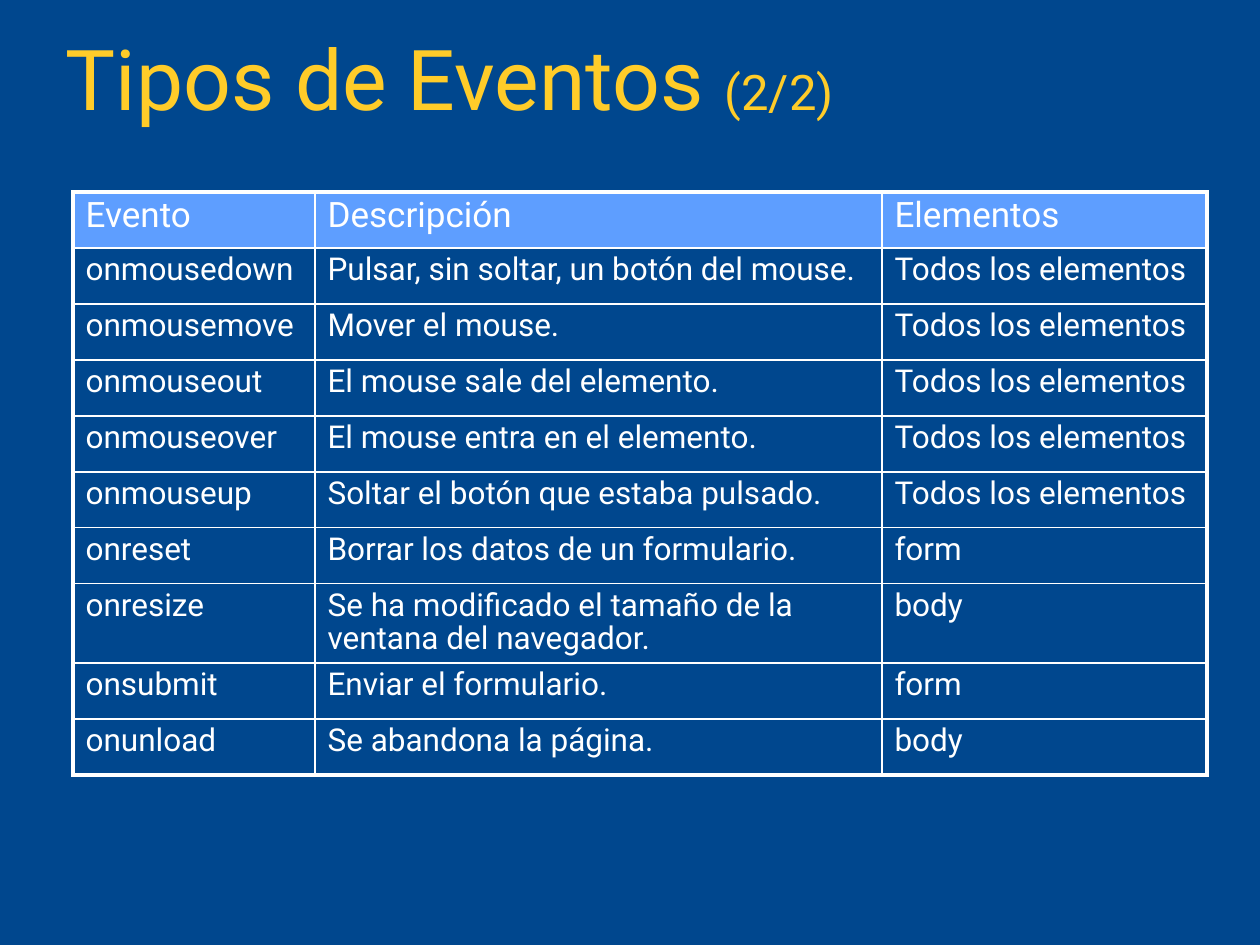
"""Build the slide listing browser event types in a table."""
from typing import NamedTuple

from lxml import etree
from pptx import Presentation
from pptx import util as u
from pptx.dml.color import RGBColor
from pptx.enum import text
from pptx.oxml import ns

PIXEL = u.Inches(1) // 126
FONT = "Roboto"
NAVY = RGBColor(0x00, 0x47, 0x8E)
SKY = RGBColor(0x5E, 0x9E, 0xFF)
GOLD = RGBColor(0xFF, 0xCC, 0x29)
WHITE = RGBColor(0xFF, 0xFF, 0xFF)
OUTER, INNER = u.Pt(2.25), u.Pt(1)
COLUMN_WIDTHS = (242, 567, 325)
ROW_HEIGHT, WRAPPED_HEIGHT = 56, 79


class Event(NamedTuple):
    name: str
    description: str
    elements: str
    height: int = ROW_HEIGHT


ALL = "Todos los elementos"
EVENTS = (
    Event("Evento", "Descripción", "Elementos"),
    Event("onmousedown", "Pulsar, sin soltar, un botón del mouse.", ALL),
    Event("onmousemove", "Mover el mouse.", ALL),
    Event("onmouseout", "El mouse sale del elemento.", ALL),
    Event("onmouseover", "El mouse entra en el elemento.", ALL),
    Event("onmouseup", "Soltar el botón que estaba pulsado.", ALL),
    Event("onreset", "Borrar los datos de un formulario.", "form"),
    Event("onresize", "Se ha modificado el tamaño de la ventana del navegador.",
          "body", WRAPPED_HEIGHT),
    Event("onsubmit", "Enviar el formulario.", "form"),
    Event("onunload", "Se abandona la página.", "body"),
)


def px(pixels: int) -> u.Emu:
    return u.Emu(pixels * PIXEL)


def style_paragraph(para, size: float, color: RGBColor) -> None:
    para.alignment = text.PP_ALIGN.LEFT
    para.line_spacing = 0.9
    para.space_before = u.Pt(0)
    para.font.name = FONT
    para.font.size = u.Pt(size)
    para.font.color.rgb = color


def draw_border(cell, side: str, width: int) -> None:
    properties = cell._tc.get_or_add_tcPr()
    line = etree.SubElement(properties, ns.qn(f"a:ln{side}"), w=str(width))
    fill = etree.SubElement(line, ns.qn("a:solidFill"))
    etree.SubElement(fill, ns.qn("a:srgbClr"), val=str(WHITE))


def add_title(page) -> None:
    title = page.shapes.title
    title.left, title.top, title.width, title.height = map(px, (53, 31, 1157, 104))
    frame = title.text_frame
    frame.word_wrap = True
    frame.auto_size = text.MSO_AUTO_SIZE.NONE
    frame.vertical_anchor = text.MSO_ANCHOR.MIDDLE
    para = frame.paragraphs[0]
    style_paragraph(para, 48, GOLD)
    para.add_run().text = "Tipos de Eventos "
    counter = para.add_run()
    counter.text = "(2/2)"
    counter.font.size = u.Pt(28)


def add_event_table(page) -> None:
    last_row, last_column = len(EVENTS) - 1, len(COLUMN_WIDTHS) - 1
    table = page.shapes.add_table(
        len(EVENTS), len(COLUMN_WIDTHS), px(73), px(192),
        px(sum(COLUMN_WIDTHS)), px(sum(event.height for event in EVENTS))).table
    table.first_row = table.horz_banding = False
    for column, width in zip(table.columns, COLUMN_WIDTHS):
        column.width = px(width)
    for row, event in enumerate(EVENTS):
        table.rows[row].height = px(event.height)
        for column, words in enumerate(event[:3]):
            cell = table.cell(row, column)
            cell.text = words
            style_paragraph(cell.text_frame.paragraphs[0], 18 if row else 20, WHITE)
            edges = {"L": column == 0, "R": column == last_column,
                     "T": row == 0, "B": row == last_row}
            for side, outside in edges.items():
                draw_border(cell, side, OUTER if outside else INNER)
            if row:
                cell.fill.background()
            else:
                cell.fill.solid()
                cell.fill.fore_color.rgb = SKY


def main() -> None:
    deck = Presentation()
    deck.slide_width, deck.slide_height = px(1260), px(945)
    page = deck.slides.add_slide(deck.slide_layouts[5])
    page.background.fill.solid()
    page.background.fill.fore_color.rgb = NAVY
    add_title(page)
    add_event_table(page)
    deck.save("out.pptx")


main()
